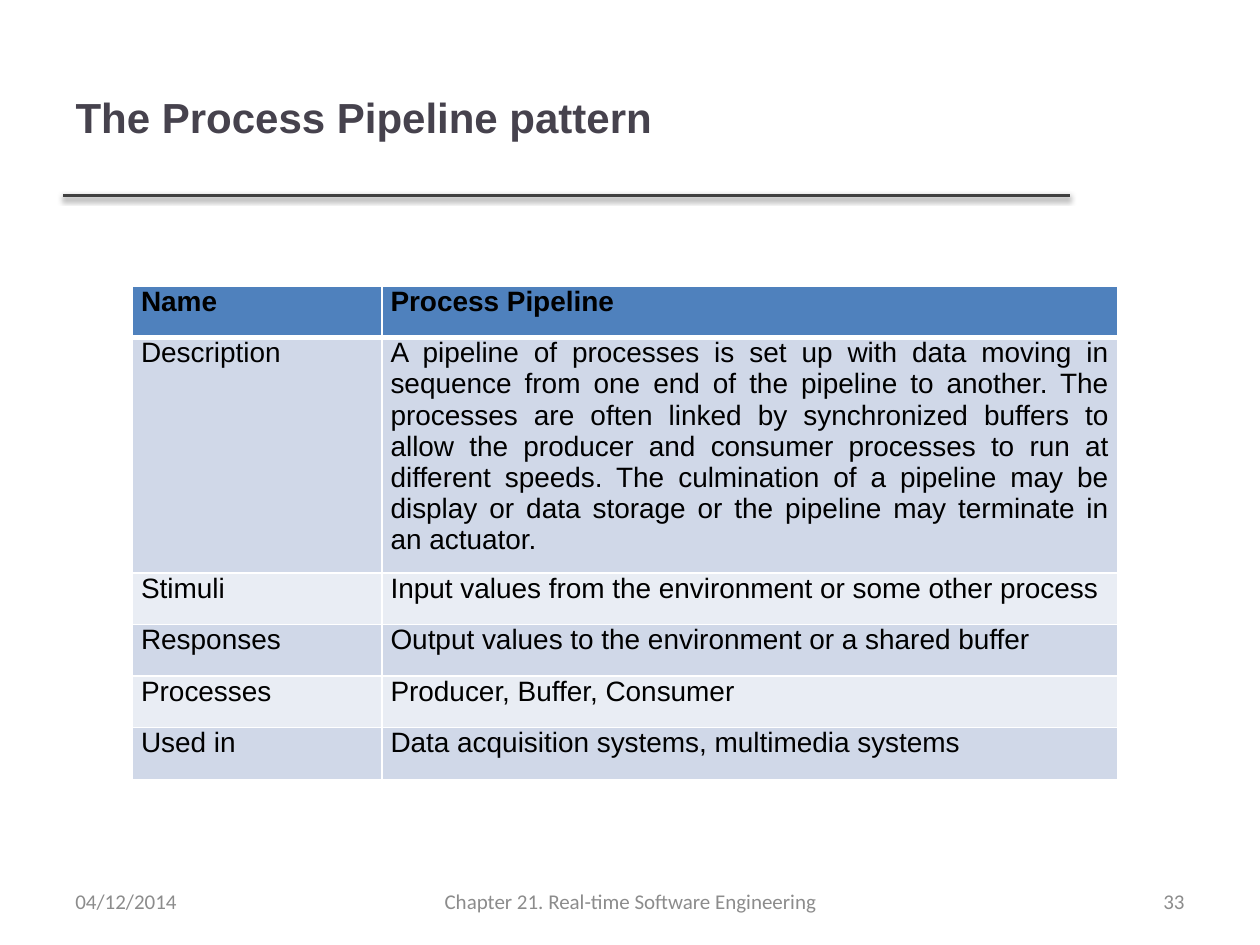
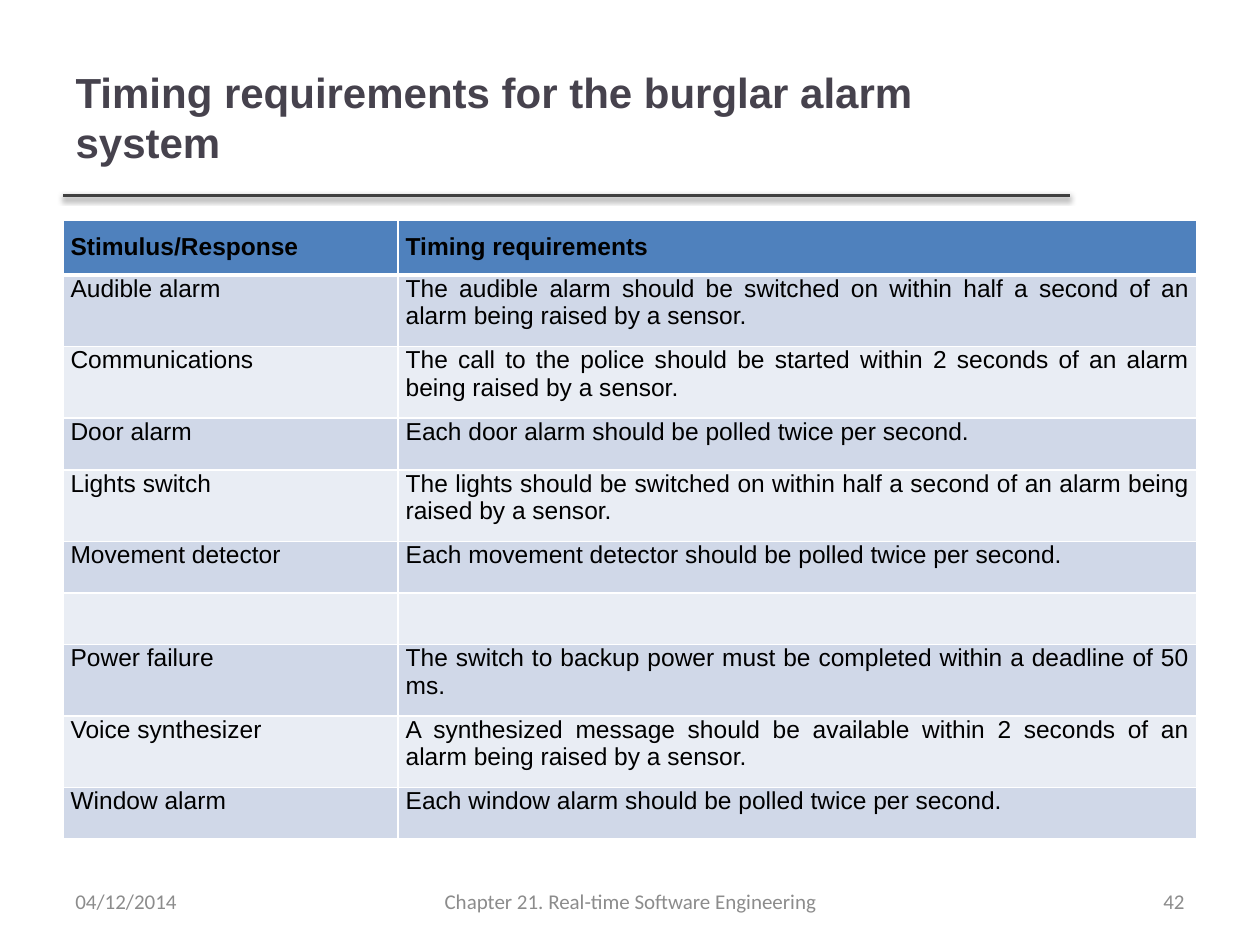
"""Build two slides that each show a table under a ruled title."""
import pptx
import pptx.util
import pptx.dml.color
import pptx.enum.shapes
import pptx.enum.text
import pptx.oxml
import pptx.oxml.ns

Inches = pptx.util.Inches
Pt = pptx.util.Pt
ALIGN = pptx.enum.text.PP_ALIGN
MIDDLE = pptx.enum.text.MSO_ANCHOR.MIDDLE

WHITE, BLACK, RULE_GREY = "FFFFFF", "000000", "404040"
HEADER_FILL = "4F81BD"
BAND_FILLS = ("D0D8E8", "E9EDF4")
TITLE_FONT = {"name": "Arial", "size": Pt(24), "bold": True, "color": "46424D"}
FOOTER_FONT = {"name": "Calibri", "size": Pt(12), "color": "8C8C8C"}
ROW_HEIGHT = 0.41

PIPELINE_ROWS = [
    ("Name", "Process Pipeline"),
    ("Description",
     "A pipeline of processes is set up with data moving in sequence from one "
     "end of the pipeline to another. The processes are often linked by "
     "synchronized buffers to allow the producer and consumer processes to run "
     "at different speeds. The culmination of a pipeline may be display or data "
     "storage or the pipeline may terminate in an actuator."),
    ("Stimuli", "Input values from the environment or some other process"),
    ("Responses", "Output values to the environment or a shared buffer"),
    ("Processes", "Producer, Buffer, Consumer"),
    ("Used in", "Data acquisition systems, multimedia systems"),
]
TIMING_ROWS = [
    ("Stimulus/Response", "Timing requirements"),
    ("Audible alarm", "The audible alarm should be switched on within half a "
     "second of an alarm being raised by a sensor."),
    ("Communications", "The call to the police should be started within "
     "2 seconds of an alarm being raised by a sensor."),
    ("Door alarm", "Each door alarm should be polled twice per second."),
    ("Lights switch", "The lights should be switched on within half a second "
     "of an alarm being raised by a sensor."),
    ("Movement detector", "Each movement detector should be polled twice per second."),
    ("", ""),
    ("Power failure", "The switch to backup power must be completed within a "
     "deadline of 50 ms."),
    ("Voice synthesizer", "A synthesized message should be available within "
     "2 seconds of an alarm being raised by a sensor."),
    ("Window alarm", "Each window alarm should be polled twice per second."),
]


def color(value):
    """Turn a hex string into a colour."""
    return pptx.dml.color.RGBColor.from_string(value)


def apply(target, formats):
    """Set each attribute named in formats on the target."""
    for name, value in formats.items():
        if name == "color":
            target.color.rgb = color(value)
        else:
            setattr(target, name, value)


def xml(markup):
    """Parse one drawing element."""
    namespace = pptx.oxml.ns.nsdecls("a")
    return pptx.oxml.parse_xml(markup.replace(">", f" {namespace}>", 1))


def write(frame, text, font, **paragraph_formats):
    """Write one formatted paragraph into a text frame."""
    para = frame.paragraphs[0]
    apply(para, paragraph_formats)
    if text:
        span = para.add_run()
        span.text = text
        apply(span.font, font)
    else:
        apply(para.font, font)


def add_title(page, text):
    """Place and fill the title placeholder."""
    box = page.shapes.title
    apply(box, {"left": Inches(0.5), "top": Inches(0.3),
                "width": Inches(7.98), "height": Inches(1.25)})
    apply(box.text_frame, {"vertical_anchor": MIDDLE, "word_wrap": True,
                           "auto_size": pptx.enum.text.MSO_AUTO_SIZE.NONE})
    write(box.text_frame, text, TITLE_FONT, alignment=ALIGN.LEFT)


def add_rule(page):
    """Draw the shadowed rule under the title."""
    rule = page.shapes.add_connector(
        pptx.enum.shapes.MSO_CONNECTOR.STRAIGHT,
        Inches(0.5), Inches(1.55), Inches(8.49), Inches(1.55))
    apply(rule.line, {"color": RULE_GREY, "width": Pt(2)})
    properties = rule.line._get_or_add_ln().getparent()
    properties.append(xml(
        f'<a:effectLst><a:outerShdw blurRad="{Pt(3.1)}" dist="{Pt(1.6)}" '
        f'dir="5400000" rotWithShape="0"><a:srgbClr val="{BLACK}">'
        '<a:alpha val="38000"/></a:srgbClr></a:outerShdw></a:effectLst>'))


def add_footer(page, number):
    """Add the date, the chapter and the slide number."""
    for left, width, text, alignment in (
            (0.5, 2.33, "04/12/2014", ALIGN.LEFT),
            (3.42, 3.17, "Chapter 21. Real-time Software Engineering", ALIGN.CENTER),
            (7.17, 2.33, str(number), ALIGN.RIGHT)):
        box = page.shapes.add_textbox(
            Inches(left), Inches(6.95), Inches(width), Inches(0.4))
        apply(box.text_frame, {"word_wrap": True, "vertical_anchor": MIDDLE})
        write(box.text_frame, text, FOOTER_FONT, alignment=alignment)


def set_borders(cell, top, bottom):
    """Give a cell white borders, with top and bottom widths in points."""
    properties = cell._tc.get_or_add_tcPr()
    widths = {"lnL": 1, "lnR": 1, "lnT": top, "lnB": bottom}
    for index, (side, width) in enumerate(widths.items()):
        properties.insert(index, xml(
            f'<a:{side} w="{Pt(width)}"><a:solidFill><a:srgbClr val="{WHITE}"/>'
            f'</a:solidFill></a:{side}>'))


def add_table(page, left, top, widths, rows, size, margins, spacing):
    """Add a banded table; margins and spacing are functions of the row index."""
    table = page.shapes.add_table(
        len(rows), len(widths), Inches(left), Inches(top),
        Inches(sum(widths)), Inches(ROW_HEIGHT * len(rows))).table
    for column, width in zip(table.columns, widths):
        column.width = Inches(width)
    for index, texts in enumerate(rows):
        table.rows[index].height = Inches(ROW_HEIGHT)
        header = index == 0
        font = {"name": "Arial", "size": Pt(size), "bold": header, "color": BLACK}
        for cell, text in zip(table.rows[index].cells, texts):
            cell.fill.solid()
            cell.fill.fore_color.rgb = color(
                HEADER_FILL if header else BAND_FILLS[(index - 1) % 2])
            set_borders(cell, 3 if index == 1 else 1, 3 if header else 1)
            apply(cell, margins(index))
            write(cell.text_frame, text, font,
                  alignment=ALIGN.JUSTIFY, **spacing(index))


def cell_margins(side, top, bottom):
    """Return cell margins as format values."""
    return {"margin_left": Inches(side), "margin_right": Inches(side),
            "margin_top": Inches(top), "margin_bottom": Inches(bottom)}


def add_page(deck, title, number):
    """Add a slide with everything that the slides share."""
    page = deck.slides.add_slide(deck.slide_layouts[5])
    add_rule(page)
    add_title(page, title)
    add_footer(page, number)
    return page


def main():
    """Build and save the deck."""
    deck = pptx.Presentation()
    apply(deck, {"slide_width": Inches(10), "slide_height": Inches(7.5)})

    page = add_page(deck, "The Process Pipeline pattern", 33)
    add_table(page, 1.05, 2.27, (1.98, 5.84), PIPELINE_ROWS, 16,
              lambda index: cell_margins(0.07, 0, 0),
              lambda index: {"space_before": Pt(3 if index < 2 else 0),
                             "space_after": Pt(3)})

    page = add_page(deck, "Timing requirements for the burglar alarm system", 42)
    add_table(page, 0.5, 1.75, (2.66, 6.34), TIMING_ROWS, 14,
              lambda index: cell_margins(0.06, 0 if index else 0.1, 0.1),
              lambda index: {})

    deck.save("out.pptx")


main()
